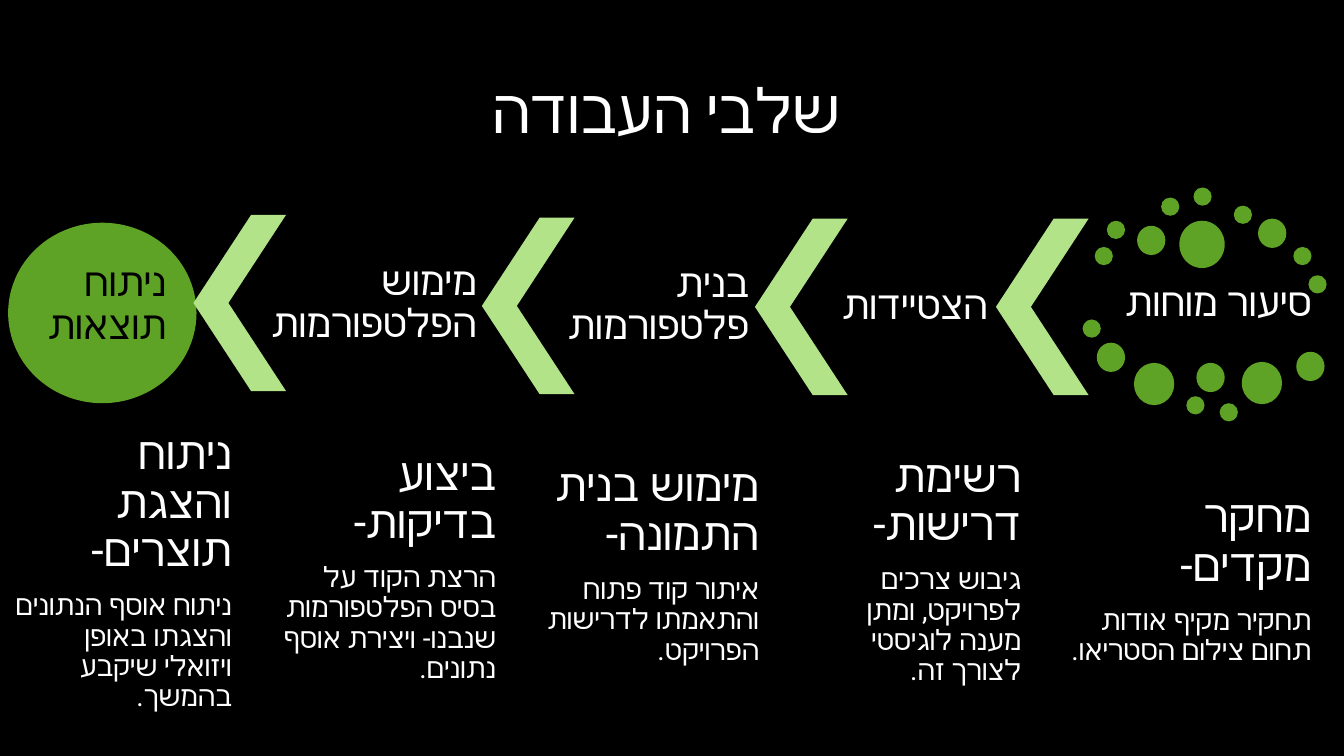
import pptx
import pptx.util
import pptx.dml.color
import pptx.enum.shapes
import pptx.enum.text
import pptx.oxml.ns
import lxml.etree

Pt = pptx.util.Pt
SHAPES = pptx.enum.shapes.MSO_SHAPE
ANCHOR = pptx.enum.text.MSO_ANCHOR
ALIGN = pptx.enum.text.PP_ALIGN

FONT = "Roboto"
BLACK, WHITE, GREEN, LIGHT_GREEN = "000000", "FFFFFF", "5FA326", "B2E389"

# Dot sizes (width, height) and the left and top of each dot around the first stage
DOTS = {
    (13, 13): [(852.5, 133.9), (781.9, 176.4), (790.6, 157.7), (829.4, 141.1),
               (881.3, 146.9), (923.8, 176.4), (934.6, 196.6), (773.3, 228.2),
               (847.4, 283), (871.2, 288)],
    (20.2, 20.9): [(812.2, 161.3), (898.6, 156.2), (783.4, 244.8),
                   (854.6, 259.2), (925.9, 251.3)],
    (28.8, 30.2): [(810, 259.2), (887, 258.5)],
    (32.4, 33.8): [(842.4, 157.7)],
}
CHEVRONS = [(711.4, 156.2), (539.3, 156.2), (344.2, 155.5), (138.2, 153.4)]

# Stage name, box (left, top, width, height), colour, inset
STAGES = [
    ("סיעור מוחות", (780.5, 189.4, 159.1, 54.7), WHITE, 2.9),
    ("הצטיידות", (570.2, 162.7, 138.2, 113), WHITE, 2.9),
    ("בנית פלטפורמות", (357.8, 155.5, 180, 126), WHITE, 2.9),
    ("מימוש הפלטפורמות", (163.4, 154.1, 180, 126), WHITE, 2.9),
    ("ניתוח תוצאות", (23.8, 172.8, 95, 90.7), BLACK, 0),
]
# Heading, explanation, box
DETAILS = [
    ("מחקר מקדים-", "תחקיר מקיף אודות תחום צילום הסטריאו.",
     (759.6, 350, 180, 130)),
    ("רשימת דרישות-", "גיבוש צרכים לפרויקט, ומתן מענה לוגיסטי לצורך זה.",
     (571.7, 321, 160.6, 175)),
    ("מימוש בנית התמונה-", "איתור קוד פתוח והתאמתו לדרישות הפרויקט.",
     (384.5, 328, 160.6, 150)),
    ("ביצוע בדיקות-",
     "הרצת הקוד על בסיס הפלטפורמות שנבנו- ויצירת אוסף נתונים.",
     (196.6, 319.5, 160.6, 175)),
    ("ניתוח והצגת תוצרים-",
     "ניתוח אוסף הנתונים והצגתו באופן ויזואלי שיקבע בהמשך.",
     (7.9, 305, 160.6, 210)),
]


def colour(hex_string):
    return pptx.dml.color.RGBColor.from_string(hex_string)


def apply_format(target, values):
    for name, value in values.items():
        setattr(target, name, value)


def place(shape, box):
    names = ("left", "top", "width", "height")
    apply_format(shape, {name: Pt(value) for name, value in zip(names, box)})


def add_filled_shape(slide, kind, box, fill):
    shape = slide.shapes.add_shape(kind, *[Pt(value) for value in box])
    shape.shadow.inherit = False
    shape.fill.solid()
    shape.fill.fore_color.rgb = colour(fill)
    shape.line.fill.background()
    return shape


def add_chevron(slide, left, top):
    chevron = add_filled_shape(slide, SHAPES.CHEVRON, (left, top, 66.2, 126), LIGHT_GREEN)
    chevron.adjustments[0] = 0.623
    chevron.element.spPr.get_or_add_xfrm().set("flipH", "1")


def write_paragraph(paragraph, text, size, text_colour, alignment=ALIGN.RIGHT, gap=0):
    apply_format(paragraph, {"alignment": alignment, "line_spacing": 0.9,
                             "space_before": Pt(0), "space_after": Pt(gap)})
    paragraph._p.get_or_add_pPr().set("rtl", "1")
    run = paragraph.add_run()
    run.text = text
    apply_format(run.font, {"size": Pt(size), "name": FONT})
    run.font.color.rgb = colour(text_colour)
    # Hebrew takes its font from the complex-script entry
    script_font = lxml.etree.SubElement(run.font._element, pptx.oxml.ns.qn("a:cs"))
    script_font.set("typeface", FONT)


def add_text(slide, box, paragraphs, text_colour, anchor, inset):
    frame = slide.shapes.add_textbox(*[Pt(value) for value in box]).text_frame
    apply_format(frame, {"word_wrap": True, "vertical_anchor": anchor,
                         "margin_left": Pt(inset), "margin_right": Pt(inset),
                         "margin_top": Pt(inset), "margin_bottom": Pt(inset)})
    for index, (text, size, gap) in enumerate(paragraphs):
        paragraph = frame.add_paragraph() if index else frame.paragraphs[0]
        write_paragraph(paragraph, text, size, text_colour, gap=gap)


def add_title(slide, text):
    title = slide.shapes.title
    place(title, (61.9, 28.8, 828, 104.4))
    apply_format(title.text_frame, {"word_wrap": True, "vertical_anchor": ANCHOR.MIDDLE})
    write_paragraph(title.text_frame.paragraphs[0], text, 44, WHITE, ALIGN.CENTER)


def main():
    presentation = pptx.Presentation()
    apply_format(presentation, {"slide_width": Pt(960), "slide_height": Pt(540)})
    slide = presentation.slides.add_slide(presentation.slide_layouts[5])
    slide.background.fill.solid()
    slide.background.fill.fore_color.rgb = colour(BLACK)
    add_title(slide, "שלבי העבודה")

    # Process row, from right to left
    for size, corners in DOTS.items():
        for corner in corners:
            add_filled_shape(slide, SHAPES.OVAL, corner + size, GREEN)
    add_filled_shape(slide, SHAPES.OVAL, (5.8, 159.1, 134.6, 128.9), GREEN)
    for left, top in CHEVRONS:
        add_chevron(slide, left, top)
    for name, box, text_colour, inset in STAGES:
        add_text(slide, box, [(name, 28, 0)], text_colour, ANCHOR.MIDDLE, inset)

    # Explanations under the stages
    for heading, explanation, box in DETAILS:
        add_text(slide, box, [(heading, 32, 11), (explanation, 20, 0)],
                 WHITE, ANCHOR.TOP, 2.9)

    presentation.save("out.pptx")


main()
